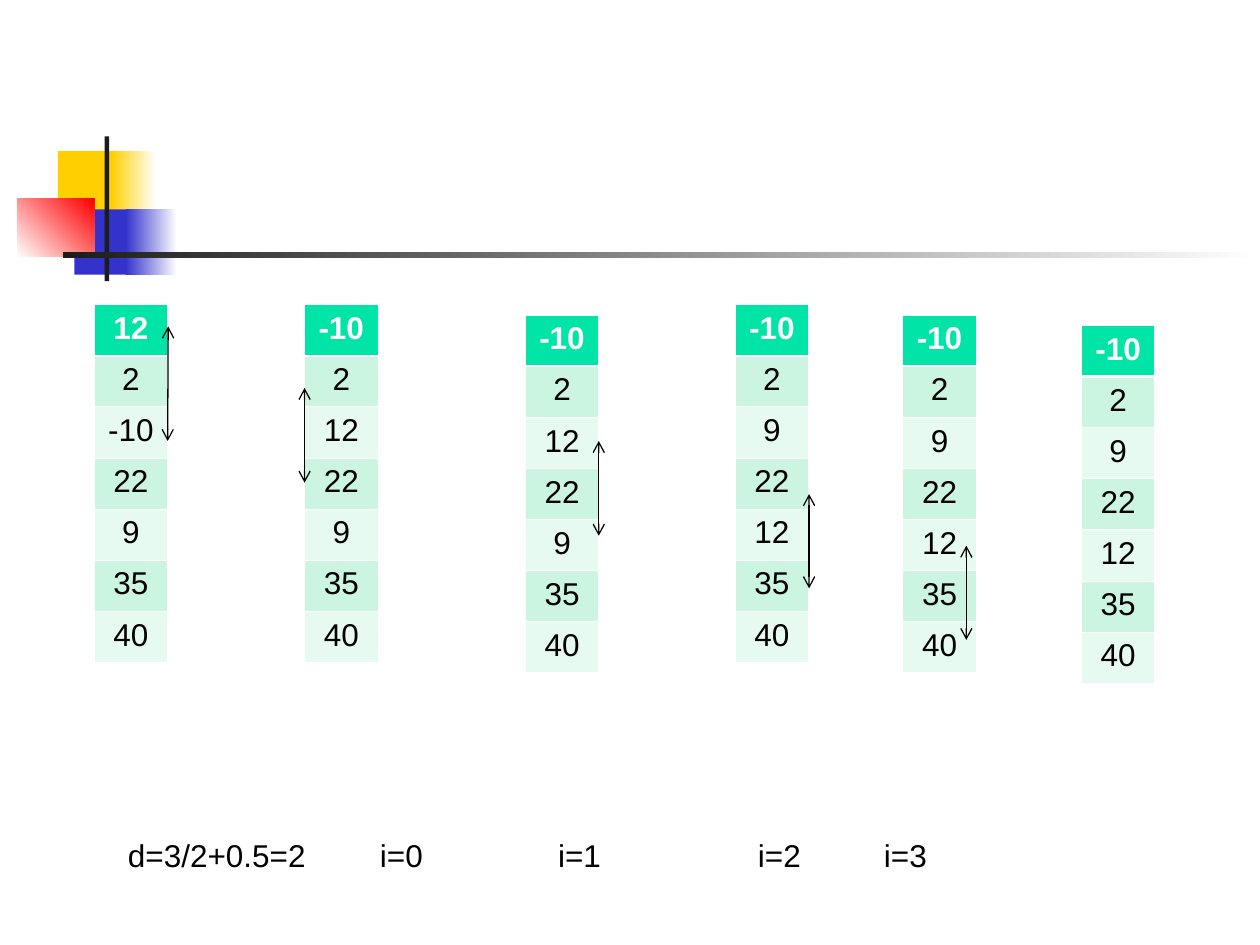
import pptx
import pptx.util
import pptx.dml.color
import pptx.enum.shapes
import pptx.enum.text
import pptx.oxml.ns
import lxml.etree

Cm = pptx.util.Cm
Pt = pptx.util.Pt
RGBColor = pptx.dml.color.RGBColor
qn = pptx.oxml.ns.qn

WHITE = RGBColor(0xFF, 0xFF, 0xFF)
BLACK = RGBColor(0, 0, 0)
YELLOW = RGBColor(0xFF, 0xCF, 0x01)
BLUE = RGBColor(0x33, 0x33, 0xCC)
RED = RGBColor(0xFF, 0, 0)
CHARCOAL = RGBColor(0x1C, 0x1C, 0x1C)
HEADER_GREEN = RGBColor(0x00, 0xE4, 0xA8)
BAND_GREEN = RGBColor(0xCB, 0xF5, 0xE1)
PALE_GREEN = RGBColor(0xE7, 0xFA, 0xF1)

FONT = "Arial"
FONT_SIZE = 18
COLUMN_WIDTH = 1.48
ROW_HEIGHT = 1.03
THIN, THICK = 0.45, 1.47

DECORATIONS = [
    ((1.17, 3.05, 1.22, 1.32), (YELLOW,), 0),
    ((2.24, 3.05, 0.91, 1.32), (YELLOW, WHITE), 0),
    ((1.5, 4.22, 1.17, 1.32), (BLUE,), 0),
    ((2.54, 4.22, 1.02, 1.32), (BLUE, WHITE), 0),
    ((0.35, 4.01, 1.55, 1.17), (WHITE, RED), 45),
    ((2.11, 2.75, 0.09, 2.92), (CHARCOAL,), 0),
    ((1.27, 5.08, 24.13, 0.12), (CHARCOAL, WHITE), 0),
]

SORT_STEPS = [
    (1.9, 6.14, (12, 2, -10, 22, 9, 35, 40)),
    (6.14, 6.14, (-10, 2, 12, 22, 9, 35, 40)),
    (10.59, 6.35, (-10, 2, 12, 22, 9, 35, 40)),
    (14.82, 6.14, (-10, 2, 9, 22, 12, 35, 40)),
    (18.2, 6.35, (-10, 2, 9, 22, 12, 35, 40)),
    (21.8, 6.56, (-10, 2, 9, 22, 12, 35, 40)),
]

COMPARISONS = [
    (3.39, 6.58, 3.38, 8.89),
    (6.14, 7.82, 6.14, 9.73),
    (12.07, 8.89, 12.07, 10.8),
    (16.31, 9.96, 16.31, 11.86),
    (19.48, 11.0, 19.48, 12.9),
]

STEP_LABELS = ["d=3/2+0.5=2", "i=0", "i=1", "i=2", "i=3"]
LABEL_STOPS = [5.08, 8.67, 12.7, 15.24]


def style_text(paragraph, color, bold=False):
    paragraph.font.name = FONT
    paragraph.font.size = Pt(FONT_SIZE)
    paragraph.font.color.rgb = color
    paragraph.font.bold = bold


def add_decoration(slide, box, colors, angle):
    block = slide.shapes.add_shape(
        pptx.enum.shapes.MSO_SHAPE.RECTANGLE, *map(Cm, box))
    block.shadow.inherit = False
    block.line.fill.background()
    if len(colors) == 1:
        block.fill.solid()
        block.fill.fore_color.rgb = colors[0]
    else:
        block.fill.gradient()
        block.fill.gradient_angle = angle
        for stop, color in zip(block.fill.gradient_stops, colors):
            stop.color.rgb = color


def set_borders(cell, widths):
    properties = cell._tc.get_or_add_tcPr()
    for position, (side, width) in enumerate(widths.items()):
        border = lxml.etree.Element(qn("a:ln" + side), w=str(Pt(width)))
        fill = lxml.etree.SubElement(border, qn("a:solidFill"))
        lxml.etree.SubElement(fill, qn("a:srgbClr"), val=str(WHITE))
        properties.insert(position, border)


def add_sort_step(slide, left, top, numbers):
    column = slide.shapes.add_table(
        len(numbers), 1, Cm(left), Cm(top),
        Cm(COLUMN_WIDTH), Cm(ROW_HEIGHT * len(numbers))).table
    for index, number in enumerate(numbers):
        column.rows[index].height = Cm(ROW_HEIGHT)
        header = index == 0
        band = BAND_GREEN if index % 2 else PALE_GREEN
        cell = column.cell(index, 0)
        cell.text = str(number)
        cell.fill.solid()
        cell.fill.fore_color.rgb = HEADER_GREEN if header else band
        set_borders(cell, {
            "L": THIN, "R": THIN,
            "T": THICK if index == 1 else THIN,
            "B": THICK if header else THIN})
        paragraph = cell.text_frame.paragraphs[0]
        paragraph.alignment = pptx.enum.text.PP_ALIGN.CENTER
        style_text(paragraph, WHITE if header else BLACK, header)


def add_comparison(slide, ends):
    arrow = slide.shapes.add_connector(
        pptx.enum.shapes.MSO_CONNECTOR.STRAIGHT, *map(Cm, ends))
    arrow.line.color.rgb = BLACK
    arrow.line.width = Pt(0.75)
    outline = arrow.line._get_or_add_ln()
    for end in ("a:headEnd", "a:tailEnd"):
        lxml.etree.SubElement(outline, qn(end), type="arrow")
    lxml.etree.SubElement(arrow._element.spPr, qn("a:effectLst"))


def add_step_labels(slide):
    frame = slide.shapes.add_textbox(
        Cm(2.33), Cm(16.72), Cm(20.96), Cm(1.02)).text_frame
    frame.word_wrap = True
    paragraph = frame.paragraphs[0]
    paragraph.text = "\t".join(STEP_LABELS)
    stops = lxml.etree.SubElement(
        paragraph._p.get_or_add_pPr(), qn("a:tabLst"))
    for stop in LABEL_STOPS:
        lxml.etree.SubElement(stops, qn("a:tab"), pos=str(Cm(stop)), algn="l")
    style_text(paragraph, BLACK)


def main():
    deck = pptx.Presentation()
    deck.slide_width, deck.slide_height = Cm(25.4), Cm(19.05)
    slide = deck.slides.add_slide(deck.slide_layouts[6])
    for decoration in DECORATIONS:
        add_decoration(slide, *decoration)
    for step in SORT_STEPS:
        add_sort_step(slide, *step)
    add_step_labels(slide)
    for ends in COMPARISONS:
        add_comparison(slide, ends)
    deck.save("out.pptx")


if __name__ == "__main__":
    main()
